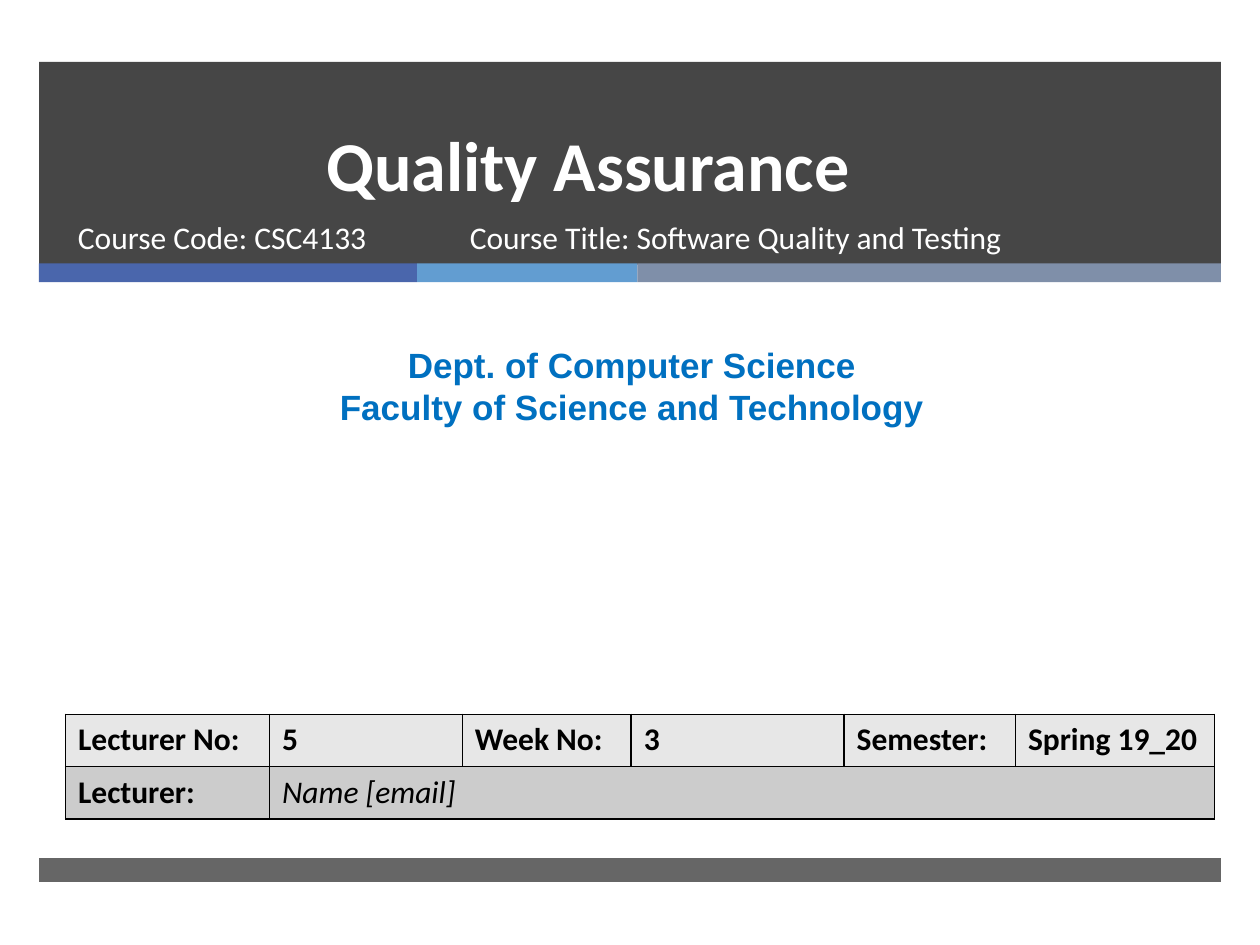
from lxml import etree
from pptx import Presentation
from pptx.dml.color import RGBColor
from pptx.enum import shapes, text
from pptx.oxml.ns import qn
from pptx.util import Inches, Pt

HUES = {
    "dark": "262626", "blue": "4A66AC", "sky": "629DD1", "slate": "7F8FA9",
    "white": "FFFFFF", "black": "000000", "dept": "0070C0",
    "light": "E7E7E7", "grey": "CCCCCC",
}


def rgb(hue):
    return RGBColor.from_string(HUES[hue])


def style(para, size, hue, face="Calibri", bold=False, italic=False):
    font = para.font
    font.name, font.size, font.bold, font.italic = face, Pt(size), bold, italic
    font.color.rgb = rgb(hue)


def add_bar(slide, box, hue, alpha=100):
    bar = slide.shapes.add_shape(
        shapes.MSO_SHAPE.RECTANGLE, *[Inches(n) for n in box])
    bar.shadow.inherit = False
    bar.line.fill.background()
    bar.fill.solid()
    bar.fill.fore_color.rgb = rgb(hue)
    if alpha < 100:
        clr = bar.fill._xPr.find(".//" + qn("a:srgbClr"))
        etree.SubElement(clr, qn("a:alpha"), val=str(alpha * 1000))


def add_text(slide, box, lines, size, hue, face="Calibri", bold=False,
             align=text.PP_ALIGN.LEFT):
    frame = slide.shapes.add_textbox(*[Inches(n) for n in box]).text_frame
    frame.word_wrap = True
    frame.text = "\n".join(lines)
    for para in frame.paragraphs:
        para.alignment = align
        style(para, size, hue, face, bold)


def add_header(slide, left, top, width):
    # Dark band with three accent strips beneath it
    add_bar(slide, (left, top, width, 1.61), "dark", 85)
    x = left
    for wide, hue in ((3, "blue"), (1.75, "sky"), (4.63, "slate")):
        add_bar(slide, (x, top + 1.6, wide, 0.15), hue)
        x += wide

    # Title, raised above the band
    title = slide.shapes.title
    slide.shapes._spTree.append(title._element)
    title.left, title.top = Inches(left + 0.15), Inches(top + 0.38)
    title.width, title.height = Inches(8.54), Inches(0.81)
    frame = title.text_frame
    frame.text = "Quality Assurance "
    frame.auto_size = text.MSO_AUTO_SIZE.NONE
    frame.vertical_anchor = text.MSO_ANCHOR.BOTTOM
    para = frame.paragraphs[0]
    para.alignment = text.PP_ALIGN.CENTER
    para.line_spacing = Pt(46)
    style(para, 40, "white", bold=True)

    # Course details
    for x, wide, line in (
            (0.21, 3.05, "Course Code: CSC4133"),
            (3.32, 4.55, "Course Title: Software Quality and Testing")):
        add_text(slide, (left + x, top + 1.19, wide, 0.53), [line], 18, "white")


def add_borders(cell):
    props = cell._tc.get_or_add_tcPr()
    for spot, side in enumerate(("lnL", "lnR", "lnT", "lnB")):
        line = etree.Element(qn("a:" + side), w=str(Pt(1)))
        fill = etree.SubElement(line, qn("a:solidFill"))
        etree.SubElement(fill, qn("a:srgbClr"), val=HUES["black"])
        props.insert(spot, line)


def add_info(slide, left, top, width, height):
    rows = (
        ("Lecturer No:", "5", "Week No:", "3", "Semester:", "Spring 19_20"),
        ("Lecturer:", "Name [email]", "", "", "", ""),
    )
    table = slide.shapes.add_table(
        2, 6, Inches(left), Inches(top), Inches(width), Inches(height)).table
    for col, wide in zip(table.columns, (1.62, 1.53, 1.34, 1.69, 1.36, 1.58)):
        col.width = Inches(wide)
    table.cell(1, 1).merge(table.cell(1, 5))
    for r, (row, hue) in enumerate(zip(rows, ("light", "grey"))):
        for c, words in enumerate(row):
            cell = table.cell(r, c)
            cell.fill.solid()
            cell.fill.fore_color.rgb = rgb(hue)
            add_borders(cell)
            if words:
                cell.text = words
                name = (r, c) == (1, 1)
                style(cell.text_frame.paragraphs[0], 18, "black",
                      bold=not name, italic=name)


def main():
    deck = Presentation()
    deck.slide_width, deck.slide_height = Inches(10), Inches(7.5)
    slide = deck.slides.add_slide(deck.slide_layouts[5])
    add_header(slide, 0.31, 0.49, 9.38)
    # Department
    add_text(slide, (0.08, 2.68, 9.87, 0.77),
             ["Dept. of Computer Science", "Faculty of Science and Technology"],
             20, "dept", "Arial", True, text.PP_ALIGN.CENTER)
    add_info(slide, 0.52, 5.67, 9.12, 0.83)
    # Footer band
    add_bar(slide, (0.31, 6.81, 9.38, 0.19), "dark", 70)
    deck.save("out.pptx")


if __name__ == "__main__":
    main()
